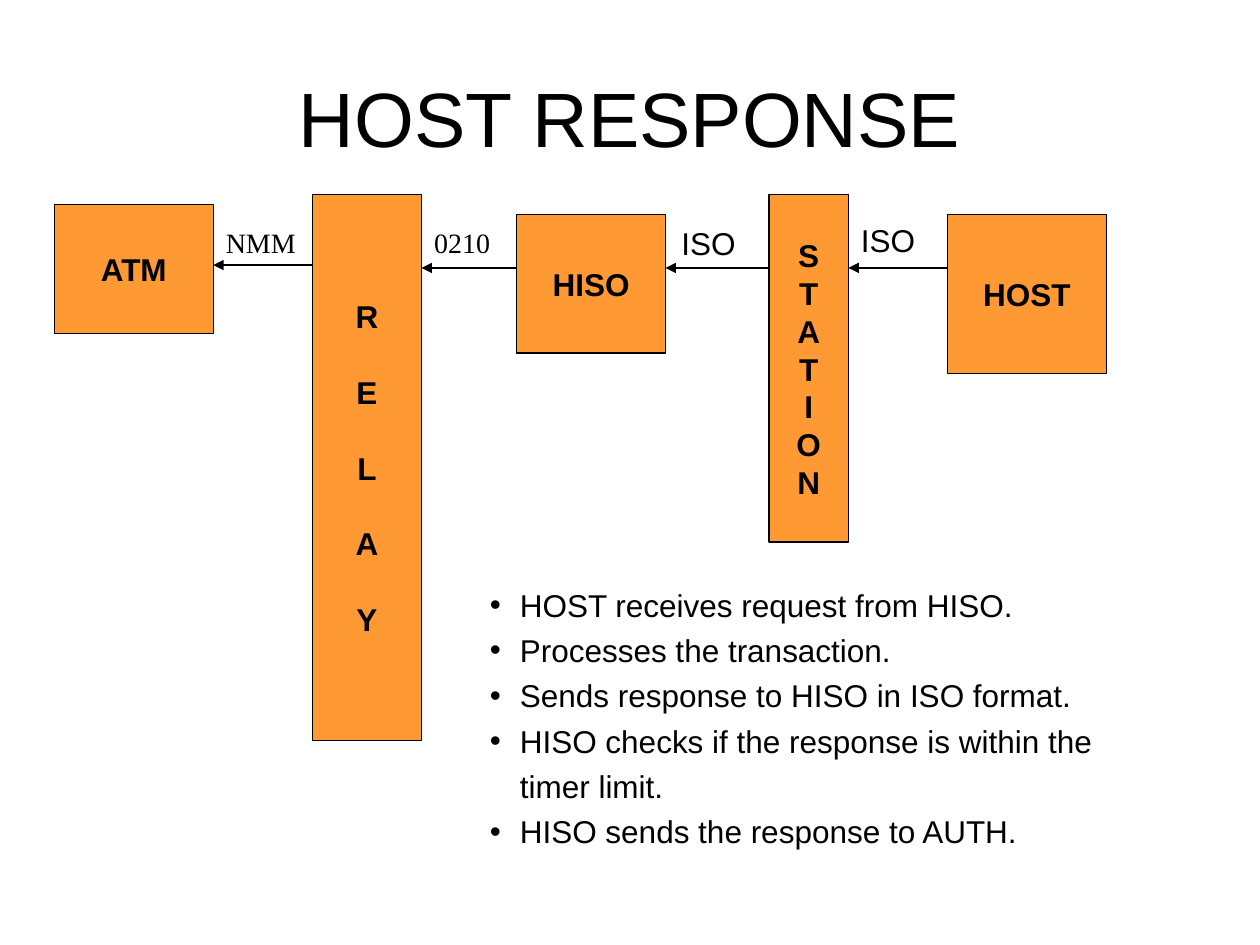
from dataclasses import dataclass

from lxml import etree
from pptx import Presentation
from pptx import util as u
from pptx.dml.color import RGBColor
from pptx.enum import shapes, text
from pptx.oxml import ns


@dataclass(frozen=True)
class Theme:
    ink: RGBColor = RGBColor(0x00, 0x00, 0x00)
    box_fill: RGBColor = RGBColor(0xFF, 0x99, 0x33)
    sans: str = "Arial"
    serif: str = "Times New Roman"
    title_size: float = 44
    body_size: float = 18
    code_size: float = 16
    line_width: float = 0.75
    letter_gap: float = 21.6
    bullet_indent: float = 17.1
    bullet_spacing: float = 1.2


class FlowSlide:
    def __init__(self, slide, theme):
        self.slide = slide
        self.theme = theme

    def format_runs(self, paragraph, size, font=None, bold=False):
        for run in paragraph.runs:
            run.font.name = font or self.theme.sans
            run.font.size = u.Pt(size)
            run.font.bold = bold
            run.font.color.rgb = self.theme.ink

    def text_box(self, content, place, size, font=None, wrap=False):
        shape = self.slide.shapes.add_textbox(*map(u.Pt, place))
        frame = shape.text_frame
        frame.word_wrap = wrap
        frame.auto_size = text.MSO_AUTO_SIZE.SHAPE_TO_FIT_TEXT
        frame.text = content
        for paragraph in frame.paragraphs:
            self.format_runs(paragraph, size, font)
        return frame

    def title(self, content, place):
        frame = self.text_box(content, place, self.theme.title_size, wrap=True)
        frame.auto_size = text.MSO_AUTO_SIZE.NONE
        frame.vertical_anchor = text.MSO_ANCHOR.MIDDLE
        frame.paragraphs[0].alignment = text.PP_ALIGN.CENTER

    def box(self, content, place, gap=0):
        shape = self.slide.shapes.add_shape(
            shapes.MSO_SHAPE.RECTANGLE, *map(u.Pt, place))
        shape.shadow.inherit = False
        shape.fill.solid()
        shape.fill.fore_color.rgb = self.theme.box_fill
        shape.line.color.rgb = self.theme.ink
        shape.line.width = u.Pt(self.theme.line_width)
        frame = shape.text_frame
        frame.word_wrap = False
        frame.vertical_anchor = text.MSO_ANCHOR.MIDDLE
        frame.text = content
        for index, paragraph in enumerate(frame.paragraphs):
            paragraph.alignment = text.PP_ALIGN.CENTER
            if index and gap:
                paragraph.space_before = u.Pt(gap)
            self.format_runs(paragraph, self.theme.body_size, bold=True)
        return shape

    def arrow(self, source, target, y):
        connector = self.slide.shapes.add_connector(
            shapes.MSO_CONNECTOR.STRAIGHT,
            source.left, u.Pt(y), target.left + target.width, u.Pt(y))
        connector.line.color.rgb = self.theme.ink
        connector.line.width = u.Pt(self.theme.line_width)
        line = connector.line._get_or_add_ln()
        etree.SubElement(line, ns.qn("a:tailEnd"), type="triangle")
        etree.SubElement(connector._element.spPr, ns.qn("a:effectLst"))

    def bullets(self, items, place):
        frame = self.text_box("\n".join(items), place,
                              self.theme.body_size, wrap=True)
        indent = u.Pt(self.theme.bullet_indent)
        for paragraph in frame.paragraphs:
            properties = paragraph._p.get_or_add_pPr()
            properties.set("marL", str(indent))
            properties.set("indent", str(-indent))
            etree.SubElement(properties, ns.qn("a:buFont"),
                             typeface=self.theme.sans)
            etree.SubElement(properties, ns.qn("a:buChar"), char="•")
            paragraph.line_spacing = self.theme.bullet_spacing


def main():
    presentation = Presentation()
    presentation.slide_width = u.Pt(720)
    presentation.slide_height = u.Pt(540)
    theme = Theme()
    flow = FlowSlide(
        presentation.slides.add_slide(presentation.slide_layouts[6]), theme)

    flow.title("HOST RESPONSE", (36, 21.6, 648, 90))

    atm = flow.box("ATM", (31, 116.9, 90.9, 73.5))
    relay = flow.box("\n".join("RELAY"), (178.5, 111.3, 62.4, 311.8),
                     theme.letter_gap)
    hiso = flow.box("HISO", (295.3, 122.4, 85, 79.4))
    station = flow.box("\n".join("STATION"), (439.4, 111.3, 45.4, 198.5))
    host = flow.box("HOST", (541.4, 122.4, 90.9, 90.9))

    for source, target, y in [(host, station, 153.1), (station, hiso, 153.1),
                              (hiso, relay, 153.1), (relay, atm, 151.5)]:
        flow.arrow(source, target, y)

    for left, top in [(382.3, 124.3), (484.9, 122.7)]:
        flow.text_box("ISO", (left, top, 45.4, 28.8), theme.body_size)
    for label, left, width in [("0210", 241, 46.4), ("NMM", 122, 54.6)]:
        flow.text_box(label, (left, 125.3, width, 26.6),
                      theme.code_size, theme.serif)

    flow.bullets([
        "HOST receives request from HISO.",
        "Processes the transaction.",
        "Sends response to HISO in ISO format.",
        "HISO checks if the response is within the timer limit.",
        "HISO sends the response to AUTH.",
    ], (272.9, 326.9, 381.6, 162.7))

    presentation.save("out.pptx")


if __name__ == "__main__":
    main()
